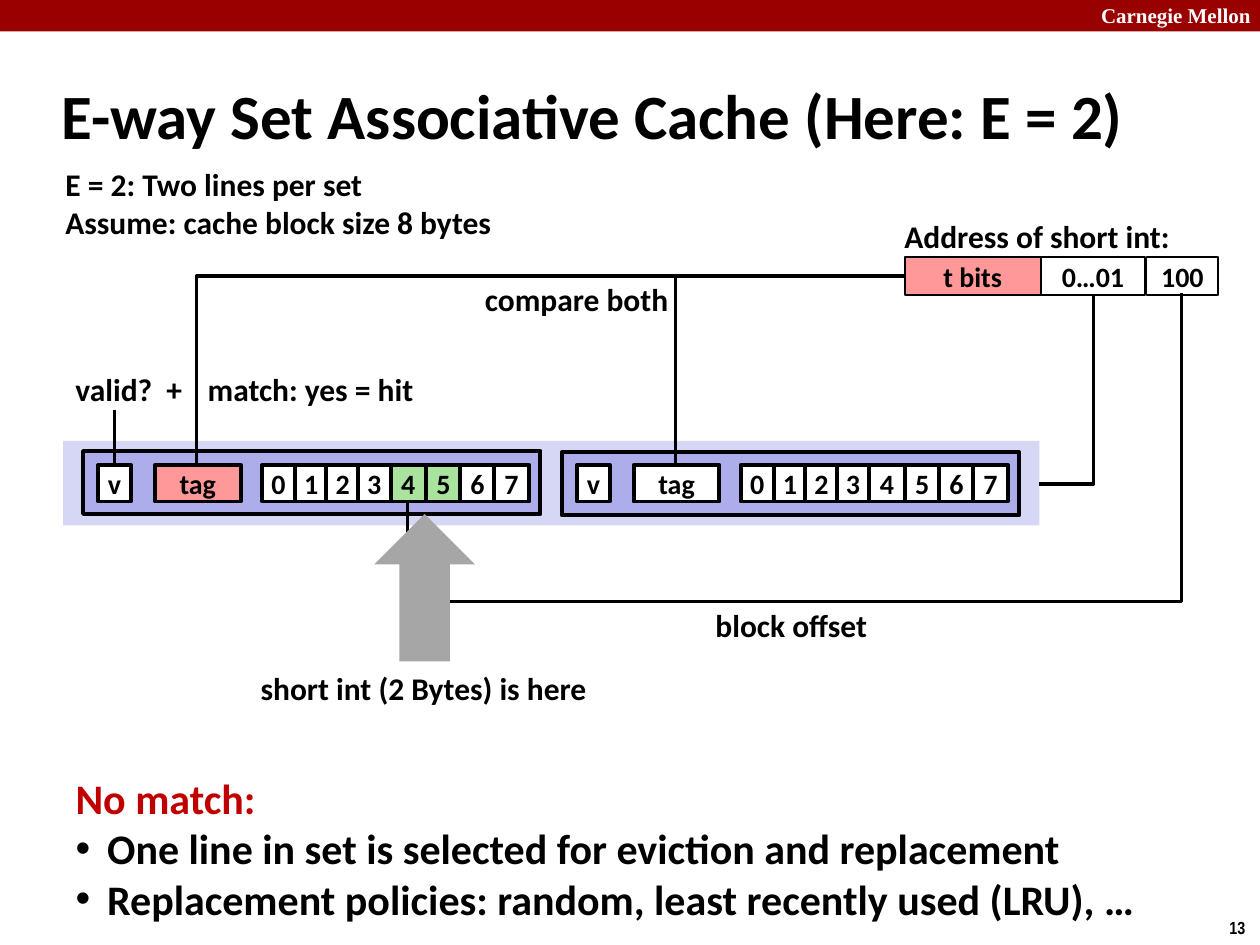
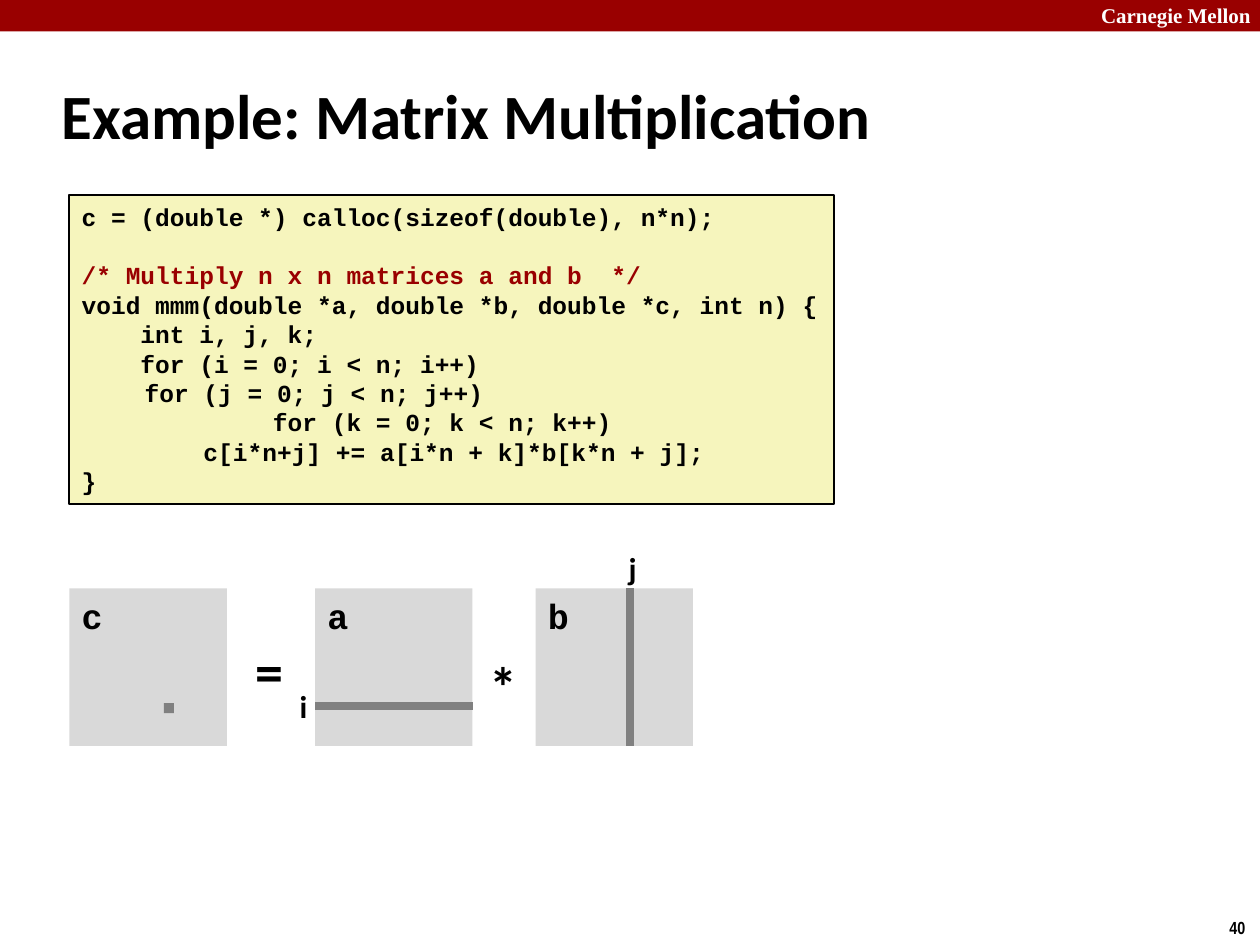
from lxml import etree
from pptx import Presentation
from pptx.dml.color import RGBColor
from pptx.enum.shapes import MSO_CONNECTOR, MSO_SHAPE
from pptx.enum.text import MSO_ANCHOR, MSO_AUTO_SIZE, PP_ALIGN
from pptx.oxml.ns import qn
from pptx.util import Pt

RECT, UP_ARROW = MSO_SHAPE.RECTANGLE, MSO_SHAPE.UP_ARROW
STRAIGHT, ELBOW = MSO_CONNECTOR.STRAIGHT, MSO_CONNECTOR.ELBOW
LEFT, CENTER = PP_ALIGN.LEFT, PP_ALIGN.CENTER
TOP, MIDDLE = MSO_ANCHOR.TOP, MSO_ANCHOR.MIDDLE
NO_AUTOFIT = MSO_AUTO_SIZE.NONE

BLACK = RGBColor(0x00, 0x00, 0x00)
WHITE = RGBColor(0xFF, 0xFF, 0xFF)
DARK_RED = RGBColor(0x99, 0x00, 0x00)
ALERT_RED = RGBColor(0xC0, 0x00, 0x00)
TAG_PINK = RGBColor(0xFF, 0x99, 0x99)
HIT_GREEN = RGBColor(0xA9, 0xE3, 0x9D)
SET_LILAC = RGBColor(0xD6, 0xD6, 0xF5)
LINE_LILAC = RGBColor(0xAD, 0xAD, 0xEB)
ARROW_GRAY = RGBColor(0xA6, 0xA6, 0xA6)
MATRIX_GRAY = RGBColor(0xD9, 0xD9, 0xD9)
MARK_GRAY = RGBColor(0x80, 0x80, 0x80)
CODE_YELLOW = RGBColor(0xF6, 0xF5, 0xBD)

SANS, MONO, SERIF, NARROW = "Calibri", "Courier New", "Times New Roman", "Arial Narrow"
PX = 9144  # EMU per px, 100 px to the inch

CODE = """c = (double *) calloc(sizeof(double), n*n);

/* Multiply n x n matrices a and b  */
void mmm(double *a, double *b, double *c, int n) {
    int i, j, k;
    for (i = 0; i < n; i++)
\tfor (j = 0; j < n; j++)
             for (k = 0; k < n; k++)
\t    c[i*n+j] += a[i*n + k]*b[k*n + j];
}"""


def emu(*lengths):
    return [length * PX for length in lengths]


def style_paragraph(paragraph, size, color=BLACK, font=SANS, align=LEFT):
    paragraph.alignment = align
    for run in paragraph.runs:
        run.font.name, run.font.size, run.font.bold = font, Pt(size), True
        run.font.color.rgb = color


def fill_text(frame, text, size, color=BLACK, font=SANS, align=LEFT, anchor=TOP, wrap=False):
    frame.text = text
    frame.word_wrap, frame.auto_size = wrap, NO_AUTOFIT
    frame.vertical_anchor = anchor
    for paragraph in frame.paragraphs:
        style_paragraph(paragraph, size, color, font, align)


def add_label(slide, box, text, size=18, **style):
    fill_text(slide.shapes.add_textbox(*emu(*box)).text_frame, text, size, **style)


def add_block(slide, box, fill, line=0, kind=RECT):
    block = slide.shapes.add_shape(kind, *emu(*box))
    block.shadow.inherit = False
    block.fill.solid()
    block.fill.fore_color.rgb = fill
    if line:
        block.line.color.rgb = BLACK
        block.line.width = Pt(line)
    else:
        block.line.fill.background()
    return block


def add_cell(slide, box, text, fill=WHITE, line=2.25):
    cell = add_block(slide, box, fill, line)
    fill_text(cell.text_frame, text, 16, align=CENTER, anchor=MIDDLE)
    return cell


def add_line(slide, start, end, kind=STRAIGHT, width=2, color=BLACK):
    line = slide.shapes.add_connector(kind, *emu(*start, *end))
    line.line.color.rgb = color
    line.line.width = Pt(width)
    etree.SubElement(line.element.spPr, qn("a:effectLst"))
    return line


def add_corner(slide, start, end):
    """One bend: across from start, then up or down to end."""
    corner = add_line(slide, start, end, ELBOW)
    corner.element.spPr.find(qn("a:prstGeom")).set("prst", "bentConnector2")


def add_hook(slide, start, end, low):
    """Two bends: down from start to low, across to the left, up to end."""
    drop, run = end[1] - start[1], start[0] - end[0]
    left = (start[0] + end[0] - drop) // 2
    top = (start[1] + end[1] - run) // 2
    hook = add_line(slide, (left, top), (left + drop, top + run), ELBOW)
    properties = hook.element.spPr
    properties.find(qn("a:xfrm")).set("rot", "5400000")
    geometry = properties.find(qn("a:prstGeom"))
    guides = geometry.find(qn("a:avLst"))
    if guides is None:
        guides = etree.SubElement(geometry, qn("a:avLst"))
    bend = round(100000 * (low - start[1]) / drop)
    etree.SubElement(guides, qn("a:gd"), name="adj1", fmla=f"val {bend}")


def set_bullet(paragraph, char=None, indent=0):
    properties = paragraph._p.get_or_add_pPr()
    properties.set("marL", str(indent * PX))
    properties.set("indent", str(-indent * PX))
    if char:
        etree.SubElement(properties, qn("a:buFont"), typeface="Arial")
        etree.SubElement(properties, qn("a:buChar"), char=char)
    else:
        etree.SubElement(properties, qn("a:buNone"))


def place(placeholder, box):
    placeholder.left, placeholder.top, placeholder.width, placeholder.height = emu(*box)


def start_slide(deck, layout, title, number):
    slide = deck.slides.add_slide(deck.slide_layouts[layout])
    add_block(slide, (0, 0, 1000, 25), DARK_RED)
    add_label(slide, (864, -3, 143, 30), "Carnegie Mellon", 12, color=WHITE, font=SERIF)
    add_label(slide, (966, 723, 34, 27), number, 10, font=NARROW)
    place(slide.shapes.title, (39, 49, 902, 83))
    fill_text(slide.shapes.title.text_frame, title, 36, anchor=MIDDLE, wrap=True)
    return slide


def add_cache_line(slide, left, top, tag_fill=WHITE, hit_bytes=()):
    """A cache line: valid bit, tag and eight bytes; returns the valid bit."""
    add_block(slide, (left, top, 363, 50), LINE_LILAC, 2.25)
    valid = add_cell(slide, (left + 12, 369, 26, 29), "v")
    add_cell(slide, (left + 57, 369, 68, 29), "tag", tag_fill)
    for byte in range(8):
        offset = round(25.5 * min(byte, 4) + 27.5 * max(byte - 4, 0))
        add_cell(slide, (left + 142 + offset, 369, 26 if byte < 4 else 28, 29),
                 str(byte), HIT_GREEN if byte in hit_bytes else WHITE)
    return valid


def add_no_match_list(slide):
    body = slide.placeholders[1]
    place(body, (50, 608, 873, 131))
    fill_text(body.text_frame, "No match:\n"
              "One line in set is selected for eviction and replacement\n"
              "Replacement policies: random, least recently used (LRU), …", 24, wrap=True)
    heading, *points = body.text_frame.paragraphs
    for paragraph in (heading, *points):
        paragraph.space_before = Pt(0)
    set_bullet(heading)
    style_paragraph(heading, 24, ALERT_RED)
    for point in points:
        set_bullet(point, "•", 25)


def build_cache_slide(deck):
    slide = start_slide(deck, 1, "E-way Set Associative Cache (Here: E = 2)", "13")
    add_label(slide, (42, 126, 361, 71),
              "E = 2: Two lines per set\nAssume: cache block size 8 bytes")

    # Address fields
    add_label(slide, (708, 167, 233, 40), "Address of short int:")
    for left, width, text, fill in ((718, 108, "t bits", TAG_PINK),
                                    (826, 83, "0…01", WHITE), (910, 57, "100", WHITE)):
        add_cell(slide, (left, 204, width, 30), text, fill, 1)

    # Selected set with its two lines
    add_block(slide, (50, 350, 775, 67), SET_LILAC)
    valid_bit = add_cache_line(slide, 66, 358, TAG_PINK, (4, 5))
    add_cache_line(slide, 446, 359)

    # Lookup paths
    add_corner(slide, (825, 384), (868, 233))
    for tag_center in (156, 536):
        add_corner(slide, (718, 219), (tag_center, 369))
    add_hook(slide, (938, 233), (324, 398), 478)
    valid_check = add_line(slide, (91, 325), (91, 369))
    valid_check.end_connect(valid_bit, 0)

    # Captions and the data pointer
    add_block(slide, (297, 408, 80, 117), ARROW_GRAY, kind=UP_ARROW)
    for box, text in (((375, 217, 167, 40), "compare both"),
                      ((155, 289, 185, 40), "match: yes = hit"),
                      ((558, 476, 142, 40), "block offset"),
                      ((197, 526, 281, 40), "short int (2 Bytes) is here"),
                      ((50, 289, 112, 40), "valid?  +")):
        add_label(slide, box, text)
    add_no_match_list(slide)


def add_code(slide, box):
    listing = add_block(slide, box, CODE_YELLOW, 1)
    fill_text(listing.text_frame, CODE, 14, font=MONO)
    for line in listing.text_frame.paragraphs:
        if line.text.startswith("/*"):
            style_paragraph(line, 14, DARK_RED, MONO)
        elif not line.text:
            end = etree.SubElement(line._p, qn("a:endParaRPr"), sz="1400", b="1")
            etree.SubElement(end, qn("a:latin"), typeface=MONO)


def build_matrix_slide(deck):
    slide = start_slide(deck, 5, "Example: Matrix Multiplication", "40")
    add_code(slide, (55, 155, 607, 245))

    # Matrices c = a * b
    for left, name in ((55, "c"), (250, "a"), (425, "b")):
        matrix = add_block(slide, (left, 467, 125, 125), MATRIX_GRAY)
        fill_text(matrix.text_frame, name, 20, font=MONO)
    add_label(slide, (193, 500, 43, 64), "=", 32)
    add_label(slide, (379, 512, 43, 64), "*", 32)

    # Element of c, row i of a, column j of b
    add_block(slide, (130, 558, 8, 8), MARK_GRAY)
    add_line(slide, (250, 560), (375, 560), width=4.5, color=MARK_GRAY)
    add_line(slide, (500, 467), (500, 592), width=4.5, color=MARK_GRAY)
    add_label(slide, (228, 540, 26, 40), "i")
    add_label(slide, (489, 431, 27, 40), "j")


def main():
    deck = Presentation()
    deck.slide_width, deck.slide_height = emu(1000, 750)
    build_cache_slide(deck)
    build_matrix_slide(deck)
    deck.save("out.pptx")


if __name__ == "__main__":
    main()
